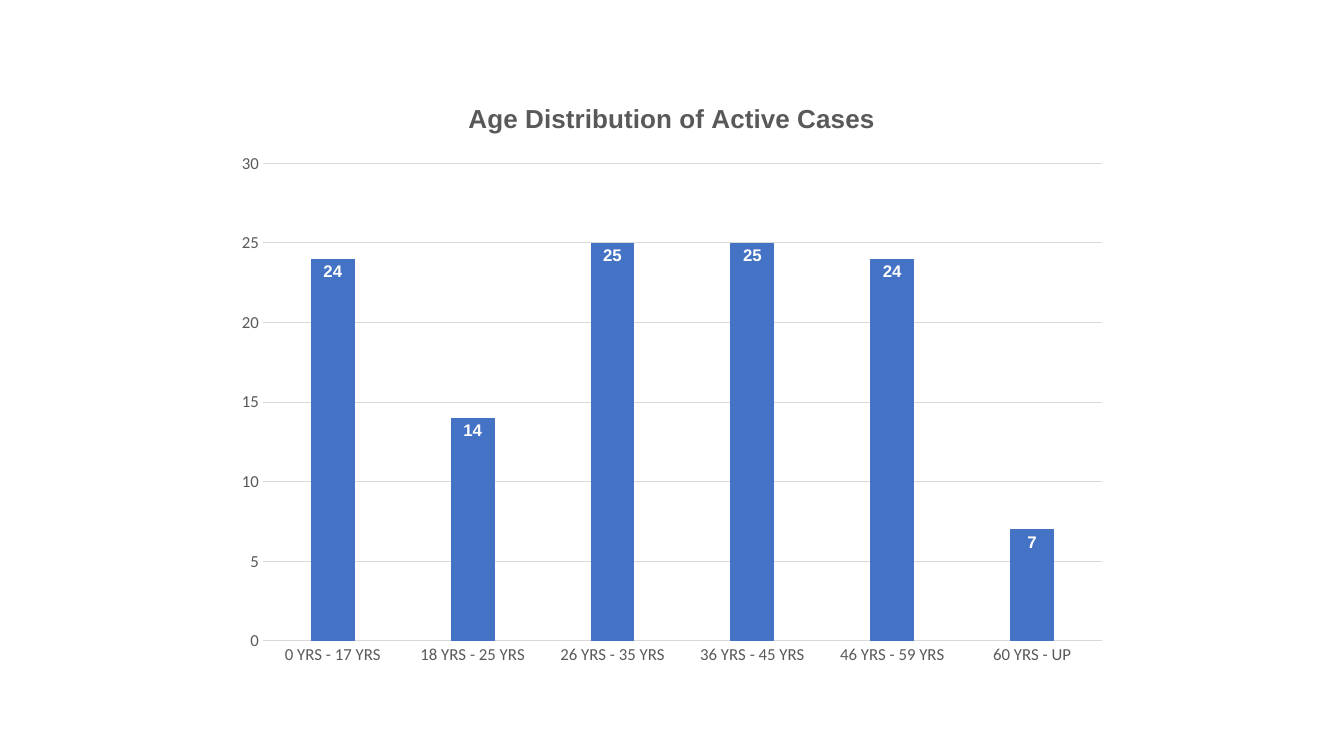
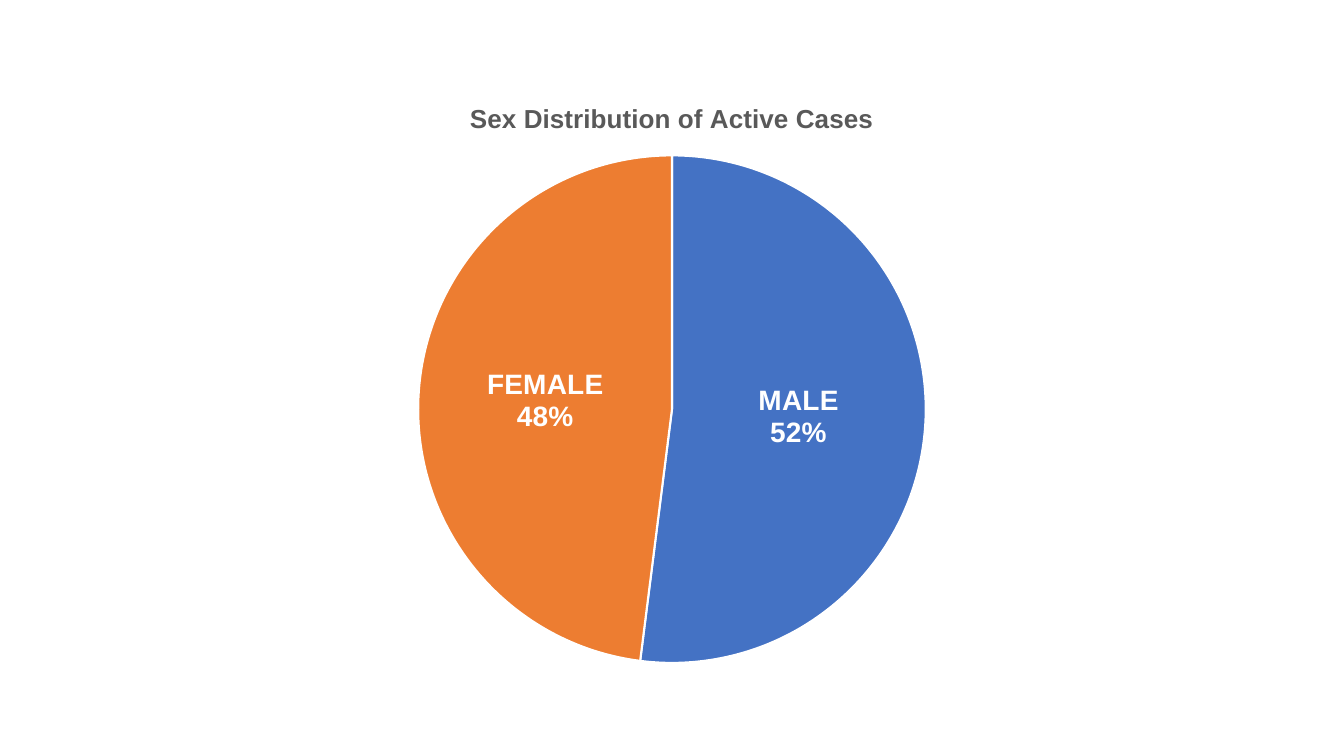
from dataclasses import dataclass

from lxml import etree
from pptx import Presentation
from pptx.chart.data import CategoryChartData
from pptx.dml.color import RGBColor
from pptx.enum.chart import XL_CHART_TYPE, XL_LABEL_POSITION, XL_TICK_MARK
from pptx.oxml.ns import qn
from pptx.util import Pt

AGES = {
    "title": "Age Distribution of Active Cases",
    "values": {
        "0 YRS - 17 YRS": 24,
        "18 YRS - 25 YRS": 14,
        "26 YRS - 35 YRS": 25,
        "36 YRS - 45 YRS": 25,
        "46 YRS - 59 YRS": 24,
        "60 YRS - UP": 7,
    },
}
SEXES = {
    "title": "Sex Distribution of Active Cases",
    "values": {"MALE": 52, "FEMALE": 48},
}


@dataclass(frozen=True)
class Theme:
    blue: str = "4472C4"
    orange: str = "ED7D31"
    white: str = "FFFFFF"
    grey: str = "595959"
    rule: str = "D9D9D9"
    black: str = "000000"
    heading_font: str = "Arial"
    body_font: str = "Calibri"
    title_size: float = 18.6
    base_size: int = 10
    axis_size: int = 12
    bar_label_size: int = 12
    pie_label_size: int = 20
    rule_width: float = 0.75
    slice_gap: float = 1.5


THEME = Theme()
PAGE_WIDTH, PAGE_HEIGHT = 960, 540
CHART_WIDTH, CHART_HEIGHT = 640, 427


def style_font(font, name, size, color, bold=False):
    font.name = name
    font.size = Pt(size)
    font.bold = bold
    font.color.rgb = RGBColor.from_string(color)


def fill_solid(part, color):
    part.format.fill.solid()
    part.format.fill.fore_color.rgb = RGBColor.from_string(color)


def draw_line(line, color, width):
    line.color.rgb = RGBColor.from_string(color)
    line.width = Pt(width)


def add_chart_page(deck, kind, content):
    page = deck.slides.add_slide(deck.slide_layouts[6])
    data = CategoryChartData()
    data.categories = list(content["values"])
    data.add_series("Series 1", list(content["values"].values()))
    chart = page.shapes.add_chart(
        kind,
        Pt((PAGE_WIDTH - CHART_WIDTH) / 2),
        Pt((PAGE_HEIGHT - CHART_HEIGHT) / 2),
        Pt(CHART_WIDTH),
        Pt(CHART_HEIGHT),
        data,
    ).chart
    style_font(chart.font, THEME.body_font, THEME.base_size, THEME.black)
    chart.has_legend = False
    chart.has_title = True
    frame = chart.chart_title.text_frame
    frame.text = content["title"]
    style_font(frame.paragraphs[0].runs[0].font, THEME.heading_font,
               THEME.title_size, THEME.grey, True)
    return chart


def add_labels(plot, size, position):
    plot.has_data_labels = True
    labels = plot.data_labels
    style_font(labels.font, THEME.heading_font, size, THEME.white, True)
    labels.position = position
    return labels


def build_ages(deck):
    chart = add_chart_page(deck, XL_CHART_TYPE.COLUMN_CLUSTERED, AGES)
    plot = chart.plots[0]
    plot.gap_width = 219
    plot.overlap = -27
    plot.vary_by_categories = False
    fill_solid(plot.series[0], THEME.blue)
    labels = add_labels(plot, THEME.bar_label_size, XL_LABEL_POSITION.INSIDE_END)
    labels.show_value = True

    for axis in (chart.category_axis, chart.value_axis):
        axis.major_tick_mark = axis.minor_tick_mark = XL_TICK_MARK.NONE
        style_font(axis.tick_labels.font, THEME.body_font, THEME.axis_size, THEME.grey)
    draw_line(chart.category_axis.format.line, THEME.rule, THEME.rule_width)
    scale = chart.value_axis
    scale.minimum_scale, scale.maximum_scale, scale.major_unit = 0, 30, 5
    scale.format.line.fill.background()
    scale.has_major_gridlines = True
    draw_line(scale.major_gridlines.format.line, THEME.rule, THEME.rule_width)


def build_sexes(deck):
    chart = add_chart_page(deck, XL_CHART_TYPE.PIE, SEXES)
    plot = chart.plots[0]
    plot.vary_by_categories = True
    for index, color in enumerate((THEME.blue, THEME.orange)):
        point = plot.series[0].points[index]
        fill_solid(point, color)
        draw_line(point.format.line, THEME.white, THEME.slice_gap)
    labels = add_labels(plot, THEME.pie_label_size, XL_LABEL_POSITION.CENTER)
    labels.show_value = False
    labels.show_category_name = labels.show_percentage = True
    labels.number_format = "0%"
    labels.number_format_is_linked = False
    separator = etree.Element(qn("c:separator"))
    separator.text = "\n"
    bubble = next(chart._chartSpace.iter(qn("c:showBubbleSize")))
    bubble.addnext(separator)


def main():
    deck = Presentation()
    deck.slide_width, deck.slide_height = Pt(PAGE_WIDTH), Pt(PAGE_HEIGHT)
    build_ages(deck)
    build_sexes(deck)
    deck.save("out.pptx")


if __name__ == "__main__":
    main()
